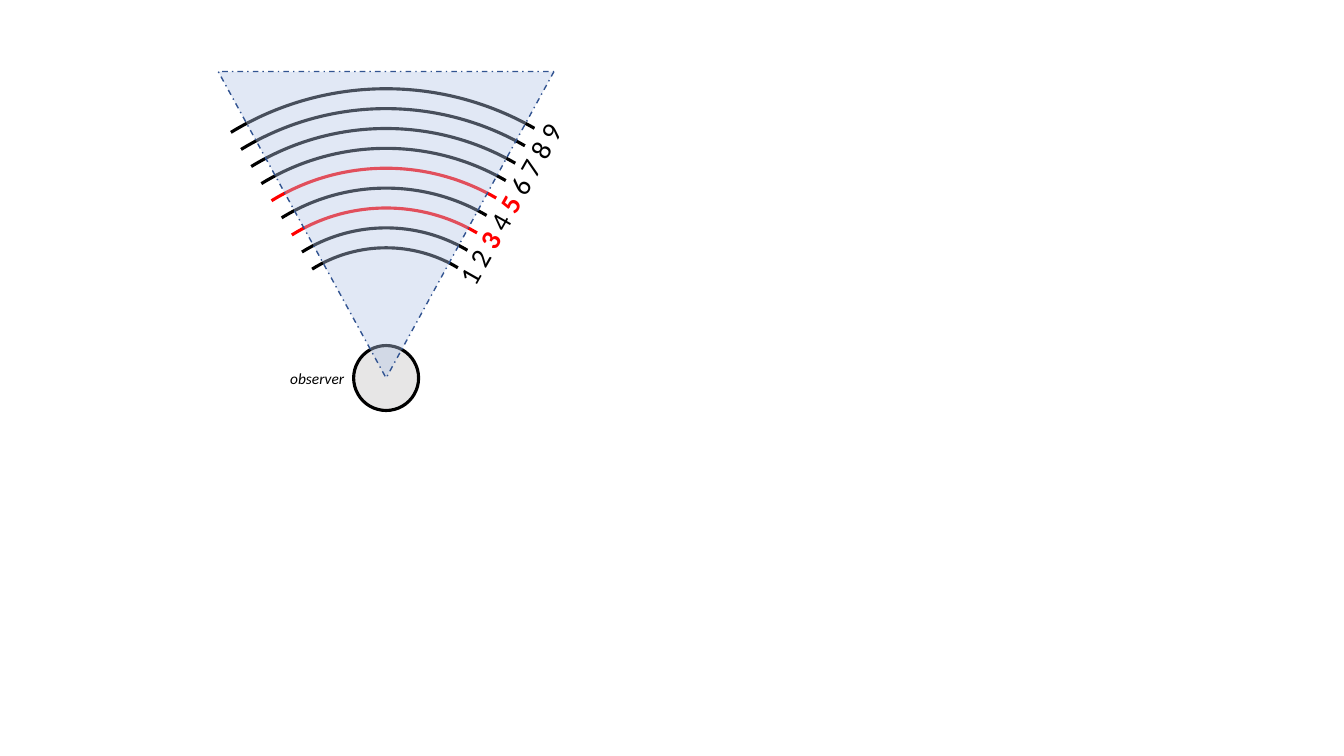
"""Draw an observer's field of view crossing nine numbered distance rings."""
from lxml.etree import SubElement
from pptx import Presentation
from pptx.dml.color import RGBColor
from pptx.enum.dml import MSO_LINE_DASH_STYLE as Dash
from pptx.enum.shapes import MSO_SHAPE as Shape
from pptx.enum.text import MSO_AUTO_SIZE as AutoSize
from pptx.oxml.ns import qn
from pptx.util import Pt

BLACK, RED, WHITE = "000000", "FF0000", "FFFFFF"
RING_CENTER = (275.8, 276.2)
OBSERVER_CENTER = (275.8, 270)
INNER_RADIUS, RING_STEP, RING_COUNT = 99.2, 14.2, 9
HIGHLIGHTED = (3, 5)
MASK_POINTS = [
    (396, 97.2), (312.5, 231.1), (335.5, 295.2), (275.8, 337),
    (211.7, 319), (223.9, 244.1), (242.6, 228.2), (242.6, 221.8),
    (119.5, 105.1), (29.5, 253.4), (80.6, 485.3), (349.9, 534.2),
    (574.6, 400.3), (552.2, 159.8),
]


def color(value):
    """Turn a hex string into a colour."""
    return RGBColor.from_string(value)


def style(shape, fill, line=None, width=2.25):
    """Set a plain fill and outline, without shadow."""
    shape.shadow.inherit = False
    shape.fill.solid()
    shape.fill.fore_color.rgb = color(fill)
    if line:
        shape.line.color.rgb = color(line)
        shape.line.width = Pt(width)
    else:
        shape.line.fill.background()


def add_circle(page, center, radius, fill, line):
    """Add a circle around a centre point."""
    x, y = center
    circle = page.shapes.add_shape(
        Shape.OVAL, Pt(x - radius), Pt(y - radius), Pt(2 * radius), Pt(2 * radius))
    style(circle, fill, line)


def add_view_cone(page):
    """Add the translucent field of view, its tip on the observer."""
    x, tip = OBSERVER_CENTER
    width, height = 239.8, 218.9
    cone = page.shapes.add_shape(
        Shape.FLOWCHART_EXTRACT, Pt(x - width / 2), Pt(tip - height), Pt(width), Pt(height))
    cone.rotation = 180
    style(cone, "B4C7E7", "325491", 1)
    cone.line.dash_style = Dash.DASH_DOT
    tint = next(cone.fill._xPr.iter(qn("a:srgbClr")))
    SubElement(tint, qn("a:alpha")).set("val", "40000")


def add_mask(page):
    """Cover the lower part of the rings around the observer."""
    builder = page.shapes.build_freeform(*MASK_POINTS[0], scale=Pt(1))
    builder.add_line_segments(MASK_POINTS[1:], close=True)
    style(builder.convert_to_shape(), WHITE)


def add_side_mask(page, left, top, rotation):
    """Trim the ring ends along one side of the cone."""
    mask = page.shapes.add_shape(Shape.RECTANGLE, Pt(left), Pt(top), Pt(146.9), Pt(63.4))
    mask.rotation = rotation
    style(mask, WHITE)


def add_label(page, left, top, width, height, spans, size, italic=None, rotation=0):
    """Add a one-line label from (text, colour, bold) spans."""
    box = page.shapes.add_textbox(Pt(left), Pt(top), Pt(width), Pt(height))
    box.rotation = rotation
    box.text_frame.word_wrap = False
    box.text_frame.auto_size = AutoSize.SHAPE_TO_FIT_TEXT
    para = box.text_frame.paragraphs[0]
    for text, hue, bold in spans:
        span = para.add_run()
        span.text = text
        span.font.name = "Calibri"
        span.font.size = Pt(size)
        span.font.bold = bold
        span.font.italic = italic
        span.font.color.rgb = color(hue)


def main():
    """Build the slide and save it."""
    deck = Presentation()
    deck.slide_width, deck.slide_height = Pt(960), Pt(540)
    page = deck.slides.add_slide(deck.slide_layouts[6])
    for number in range(RING_COUNT, 0, -1):
        radius = INNER_RADIUS + (number - 1) * RING_STEP
        add_circle(page, RING_CENTER, radius, WHITE, RED if number in HIGHLIGHTED else BLACK)
    add_circle(page, OBSERVER_CENTER, 23.2, "E7E6E6", BLACK)
    add_view_cone(page)
    add_mask(page)
    add_side_mask(page, 90.7, 123.8, 59.3)
    add_side_mask(page, 306.7, 128.9, 118.8)
    numbers = [("1 2 ", BLACK, False), ("3", RED, True), (" 4 ", BLACK, False),
               ("5", RED, True), (" 6 7 8 9", BLACK, False)]
    add_label(page, 293, 129.6, 142.6, 31.5, numbers, 20, rotation=299.5)
    add_label(page, 200.2, 259.9, 54.7, 20.6, [("observer", BLACK, False)], 11, italic=True)
    deck.save("out.pptx")


main()
